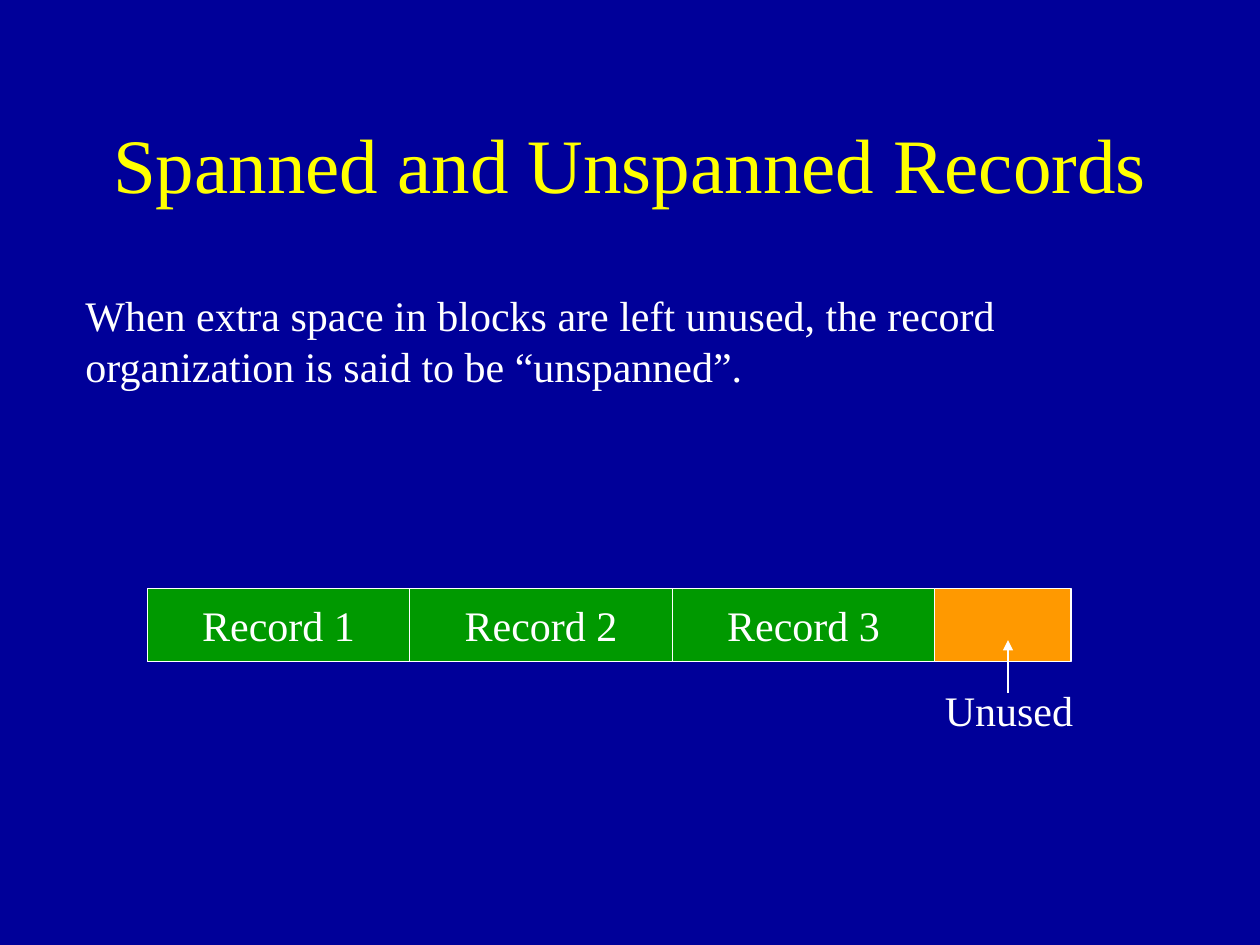
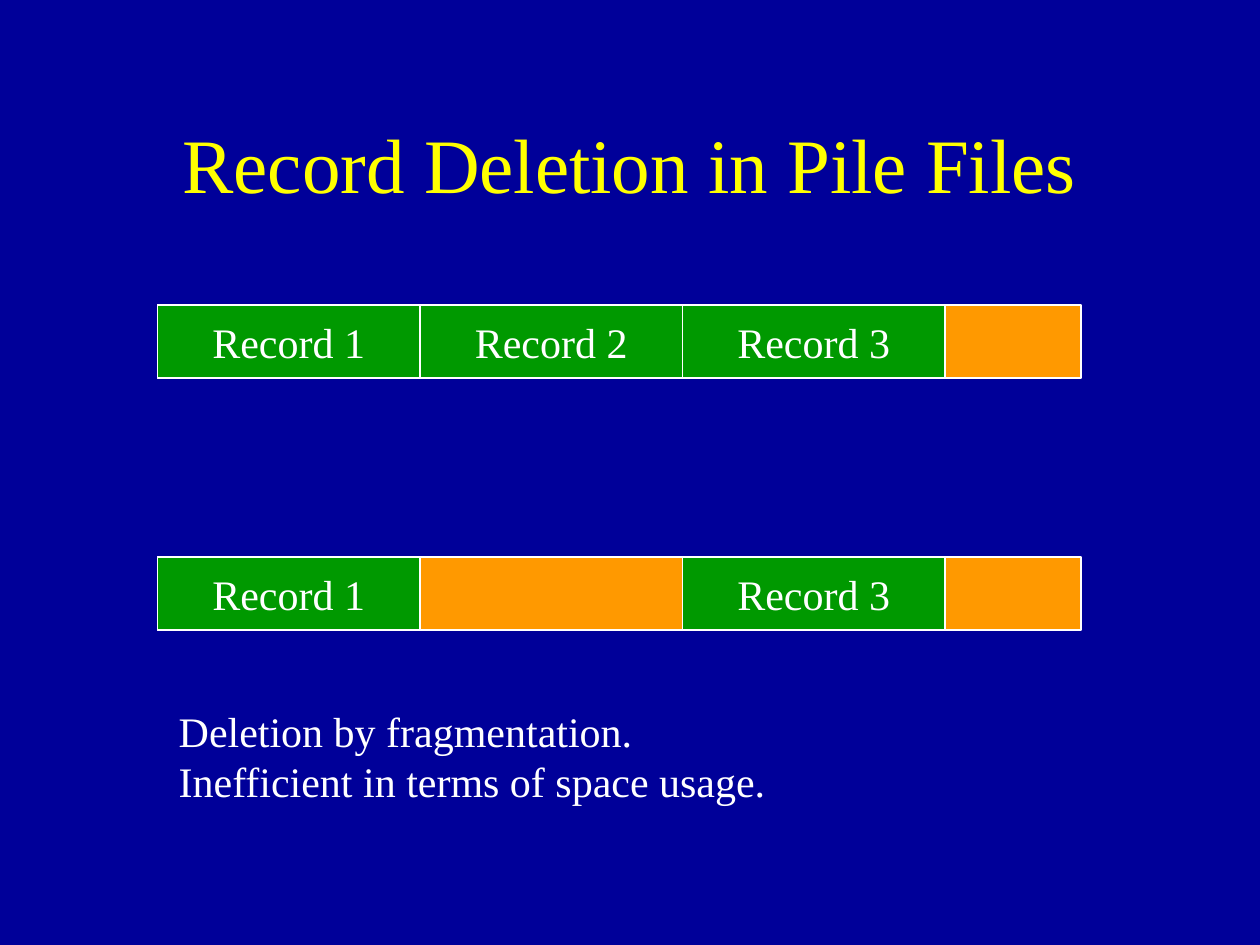
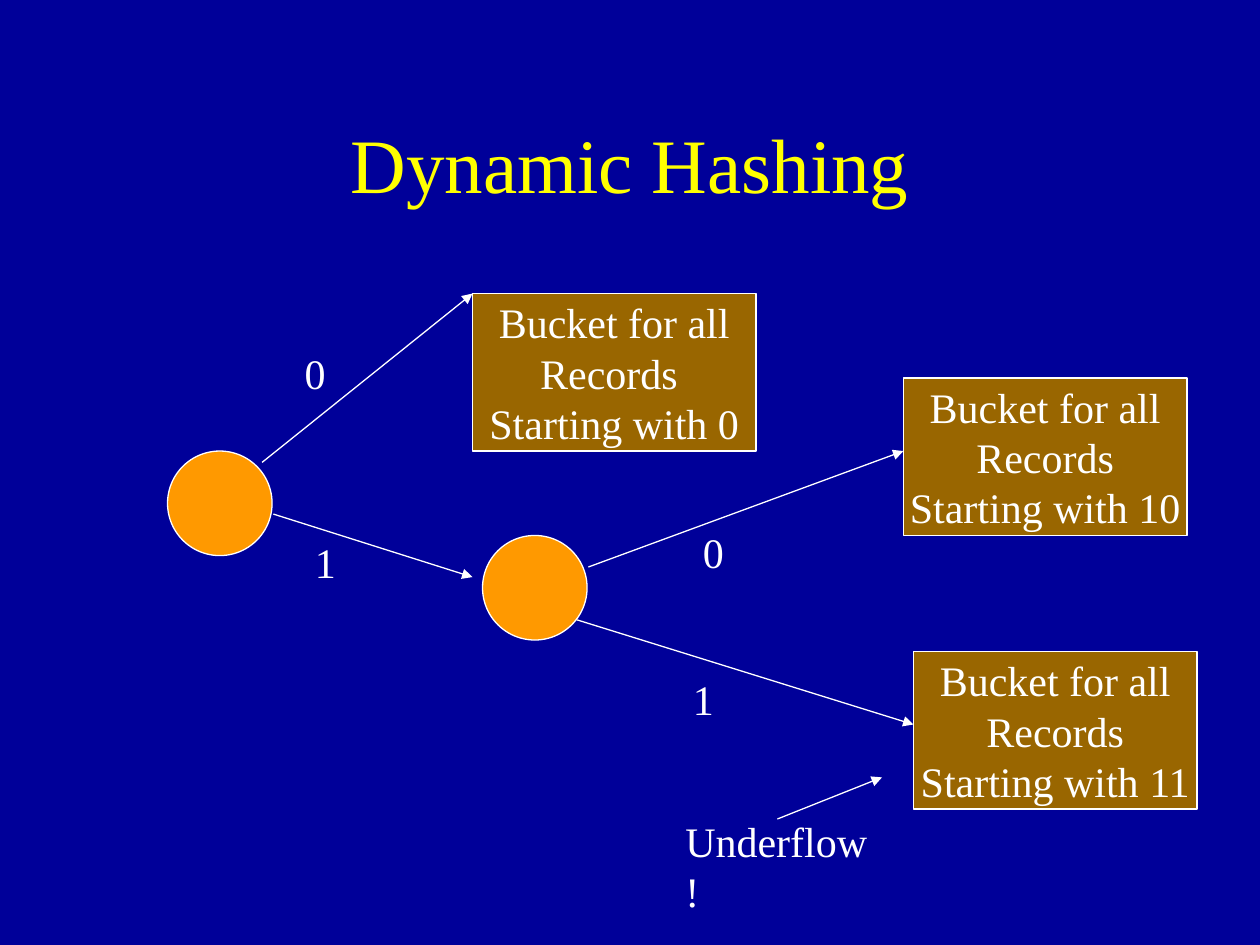
from lxml.etree import SubElement
from pptx import Presentation
from pptx.dml.color import RGBColor
from pptx.enum.shapes import MSO_CONNECTOR, MSO_SHAPE
from pptx.enum.text import MSO_ANCHOR, MSO_AUTO_SIZE, PP_ALIGN
from pptx.oxml.ns import qn
from pptx.util import Inches, Pt

COLORS = {
    "back": "000099",
    "title": "FFFF00",
    "text": "FFFFFF",
    "record": "009900",
    "free": "FF9900",
    "bucket": "996600",
}


def color(name):
    return RGBColor.from_string(COLORS[name])


class Deck:
    font = "Times New Roman"
    rule = Pt(0.75)

    def __init__(self):
        self.prs = Presentation()
        self.prs.slide_width = Inches(10)
        self.prs.slide_height = Inches(7.5)
        fill = self.prs.slide_master.background.fill
        fill.solid()
        fill.fore_color.rgb = color("back")
        self.slide = None

    def page(self, title):
        self.slide = self.prs.slides.add_slide(self.prs.slide_layouts[5])
        head = self.slide.shapes.title
        head.left, head.top = Inches(0.75), Inches(0.67)
        head.width, head.height = Inches(8.5), Inches(1.25)
        self.label(head.text_frame, [title], PP_ALIGN.CENTER, 44, "title", True)
        head.text_frame.vertical_anchor = MSO_ANCHOR.MIDDLE

    def label(self, frame, lines, align, size=24, tint="text", wrap=False):
        frame.word_wrap = wrap
        frame.auto_size = MSO_AUTO_SIZE.NONE
        for i, line in enumerate(lines):
            para = frame.add_paragraph() if i else frame.paragraphs[0]
            para.alignment = align
            run = para.add_run()
            run.text = line
            run.font.name = self.font
            run.font.size = Pt(size)
            run.font.color.rgb = color(tint)

    def note(self, x, y, w, h, *lines, wrap=False):
        box = self.slide.shapes.add_textbox(Inches(x), Inches(y), Inches(w), Inches(h))
        self.label(box.text_frame, lines, PP_ALIGN.LEFT, wrap=wrap)
        box.text_frame.auto_size = MSO_AUTO_SIZE.SHAPE_TO_FIT_TEXT

    def shape(self, kind, x, y, w, h, tint, *lines):
        item = self.slide.shapes.add_shape(kind, Inches(x), Inches(y), Inches(w), Inches(h))
        item.shadow.inherit = False
        item.fill.solid()
        item.fill.fore_color.rgb = color(tint)
        item.line.color.rgb = color("text")
        item.line.width = self.rule
        self.label(item.text_frame, lines, PP_ALIGN.CENTER)
        item.text_frame.vertical_anchor = MSO_ANCHOR.MIDDLE

    def block(self, x, y, records):
        high, wide = 0.58, 6.25 / 3
        self.shape(MSO_SHAPE.RECTANGLE, x, y, 7.33, high, "free")
        for num in records:
            left = x + (num - 1) * wide
            self.shape(MSO_SHAPE.RECTANGLE, left, y, wide, high, "record", f"Record {num}")

    def node(self, x, y):
        self.shape(MSO_SHAPE.OVAL, x, y, 0.83, 0.83, "free")

    def bucket(self, x, y, key, middle="Records"):
        lines = "Bucket for all", middle, f"Starting with {key}"
        self.shape(MSO_SHAPE.RECTANGLE, x, y, 2.25, 1.25, "bucket", *lines)

    def arrow(self, *ends):
        link = self.slide.shapes.add_connector(MSO_CONNECTOR.STRAIGHT, *map(Inches, ends))
        link.line.color.rgb = color("text")
        link.line.width = self.rule
        props = link.element.spPr
        SubElement(props.find(qn("a:ln")), qn("a:tailEnd"), type="triangle")
        SubElement(props, qn("a:effectLst"))


def main():
    deck = Deck()

    deck.page("Spanned and Unspanned Records")
    deck.note(0.58, 2.25, 8.68, 0.9,
              "When extra space in blocks are left unused, the record "
              "organization is said to be “unspanned”.", wrap=True)
    deck.block(1.17, 4.67, (1, 2, 3))
    deck.note(7.4, 5.38, 1.22, 0.5, "Unused")
    deck.arrow(8, 5.5, 8, 5.08)

    deck.page("Record Deletion in Pile Files")
    deck.block(1.25, 2.42, (1, 2, 3))
    deck.block(1.25, 4.42, (1, 3))
    deck.note(1.32, 5.55, 4.95, 0.9,
              "Deletion by fragmentation.", "Inefficient in terms of space usage.")

    deck.page("Dynamic Hashing")
    for spot in ((1.33, 3.58), (3.83, 4.25)):
        deck.node(*spot)
    deck.bucket(3.75, 2.33, "0", "Records ")
    deck.bucket(7.17, 3, "10")
    deck.bucket(7.25, 5.17, "11")
    for ends in (
        (2.08, 3.67, 3.75, 2.33),
        (2.17, 4.08, 3.75, 4.58),
        (4.67, 4.5, 7.17, 3.58),
        (4.58, 4.92, 7.25, 5.75),
        (6.17, 6.5, 7, 6.17),
    ):
        deck.arrow(*ends)
    for x, y, bit in ((2.32, 2.71, "0"), (2.4, 4.21, "1"), (5.48, 4.13, "0"), (5.4, 5.3, "1")):
        deck.note(x, y, 0.36, 0.5, bit)
    deck.note(5.34, 6.42, 1.75, 0.5, "Underflow!")

    deck.prs.save("out.pptx")


if __name__ == "__main__":
    main()
